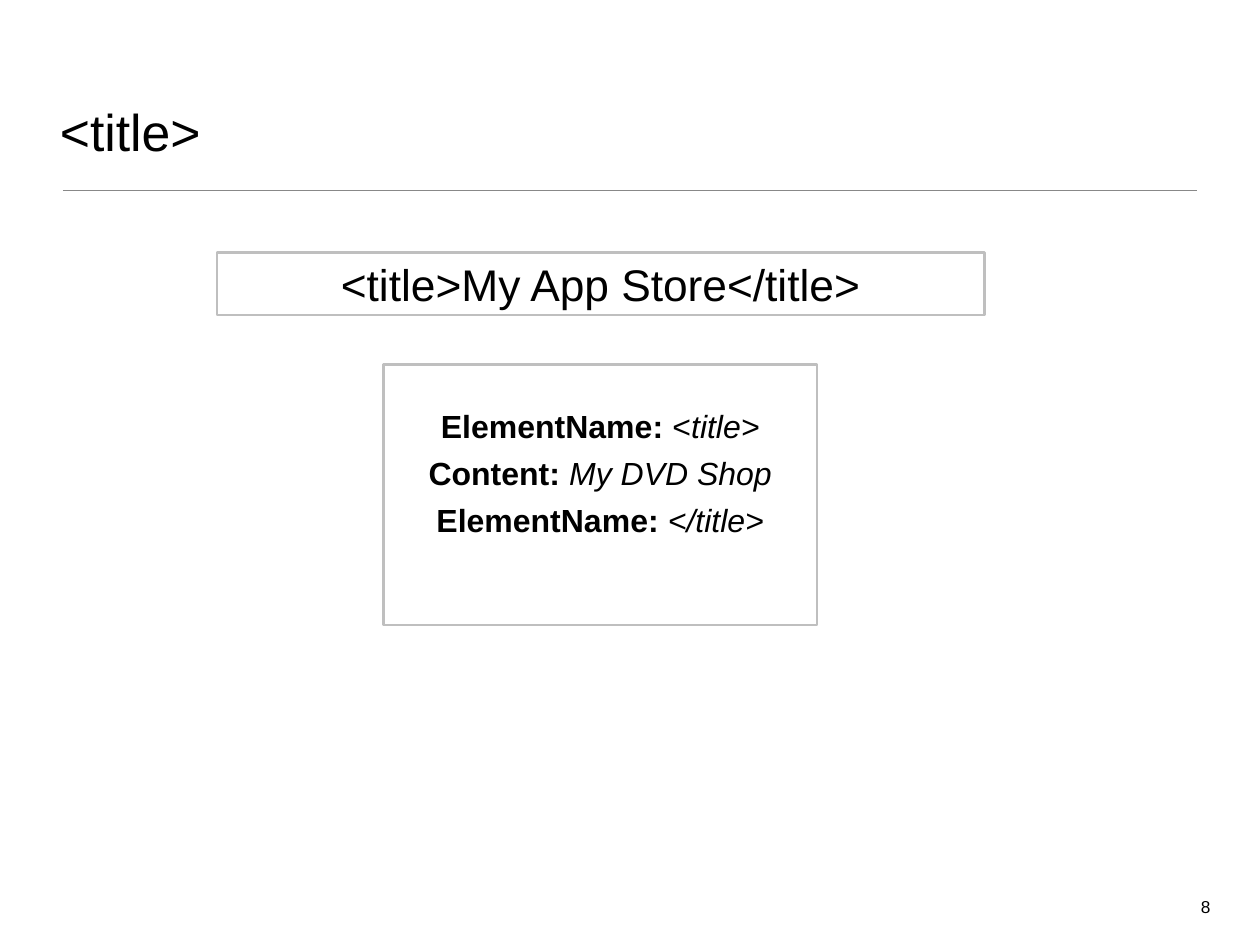
from lxml.etree import SubElement
from pptx import Presentation
from pptx.dml.color import RGBColor
from pptx.enum.shapes import MSO_CONNECTOR, MSO_SHAPE
from pptx.enum.text import MSO_ANCHOR, PP_ALIGN
from pptx.oxml.ns import qn
from pptx.util import Cm, Pt

COLORS = {"text": "000000", "paper": "FFFFFF", "border": "BFBFBF", "rule": "888888"}
FONT = "Arial"


def rgb(name):
    return RGBColor.from_string(COLORS[name])


def add_run(p, text, size, bold=False, italic=False):
    r = p.add_run()
    r.text = text
    r.font.name = FONT
    r.font.size = Pt(size)
    r.font.bold = bold
    r.font.italic = italic
    r.font.color.rgb = rgb("text")


def add_label(s, x, y, w, h, text, size, align, anchor, inset, wrap=True):
    tf = s.shapes.add_textbox(Cm(x), Cm(y), Cm(w), Cm(h)).text_frame
    tf.word_wrap = wrap
    tf.vertical_anchor = anchor
    tf.margin_left = tf.margin_right = Cm(inset)
    tf.margin_top = tf.margin_bottom = Cm(0.15)
    p = tf.paragraphs[0]
    p.alignment = align
    add_run(p, text, size)


def add_rule(s, x1, x2, y):
    line = s.shapes.add_connector(MSO_CONNECTOR.STRAIGHT, Cm(x1), Cm(y), Cm(x2), Cm(y))
    line.line.color.rgb = rgb("rule")
    line.line.width = Pt(1)
    SubElement(line._element.spPr, qn("a:effectLst"))


def add_box(s, x, y, w, h, lines, size, top, anchor, space=0):
    """Bordered box; each line is a list of (text, bold, italic) runs."""
    sp = s.shapes.add_shape(MSO_SHAPE.RECTANGLE, Cm(x), Cm(y), Cm(w), Cm(h))
    sp.shadow.inherit = False
    sp.fill.solid()
    sp.fill.fore_color.rgb = rgb("paper")
    sp.line.color.rgb = rgb("border")
    sp.line.width = Pt(2)
    tf = sp.text_frame
    tf.word_wrap = True
    tf.vertical_anchor = anchor
    tf.margin_left = tf.margin_right = tf.margin_bottom = 0
    tf.margin_top = Cm(top)
    for i, runs in enumerate(lines):
        p = tf.add_paragraph() if i else tf.paragraphs[0]
        p.alignment = PP_ALIGN.CENTER
        p.space_before = Pt(space)
        for text, bold, italic in runs:
            add_run(p, text, size, bold, italic)


def main():
    prs = Presentation()
    prs.slide_width, prs.slide_height = Cm(36.12), Cm(27.1)
    s = prs.slides.add_slide(prs.slide_layouts[6])

    # Heading and page number
    add_rule(s, 1.8, 34.32, 5.46)
    add_label(s, 1.57, 0.91, 32.94, 3.89, "<title>", 42,
              PP_ALIGN.LEFT, MSO_ANCHOR.BOTTOM, 0.15)
    add_label(s, 34.09, 25.55, 0.86, 0.84, "8", 14,
              PP_ALIGN.RIGHT, MSO_ANCHOR.TOP, 0.25, wrap=False)

    # Parts of the element
    parts = [
        [("ElementName: ", True, False), ("<", False, False), ("title>", False, True)],
        [("Content: ", True, False), ("My DVD Shop", False, True)],
        [("ElementName: ", True, False), ("</title>", False, True)],
    ]
    add_box(s, 11, 10.46, 12.42, 7.47, parts, 26, 1.2, MSO_ANCHOR.TOP, space=7)

    # Sample markup
    markup = [[("<title>My App Store</title>", False, False)]]
    add_box(s, 6.22, 7.24, 22, 1.8, markup, 36, 0.13, MSO_ANCHOR.TOP)

    prs.save("out.pptx")


if __name__ == "__main__":
    main()
